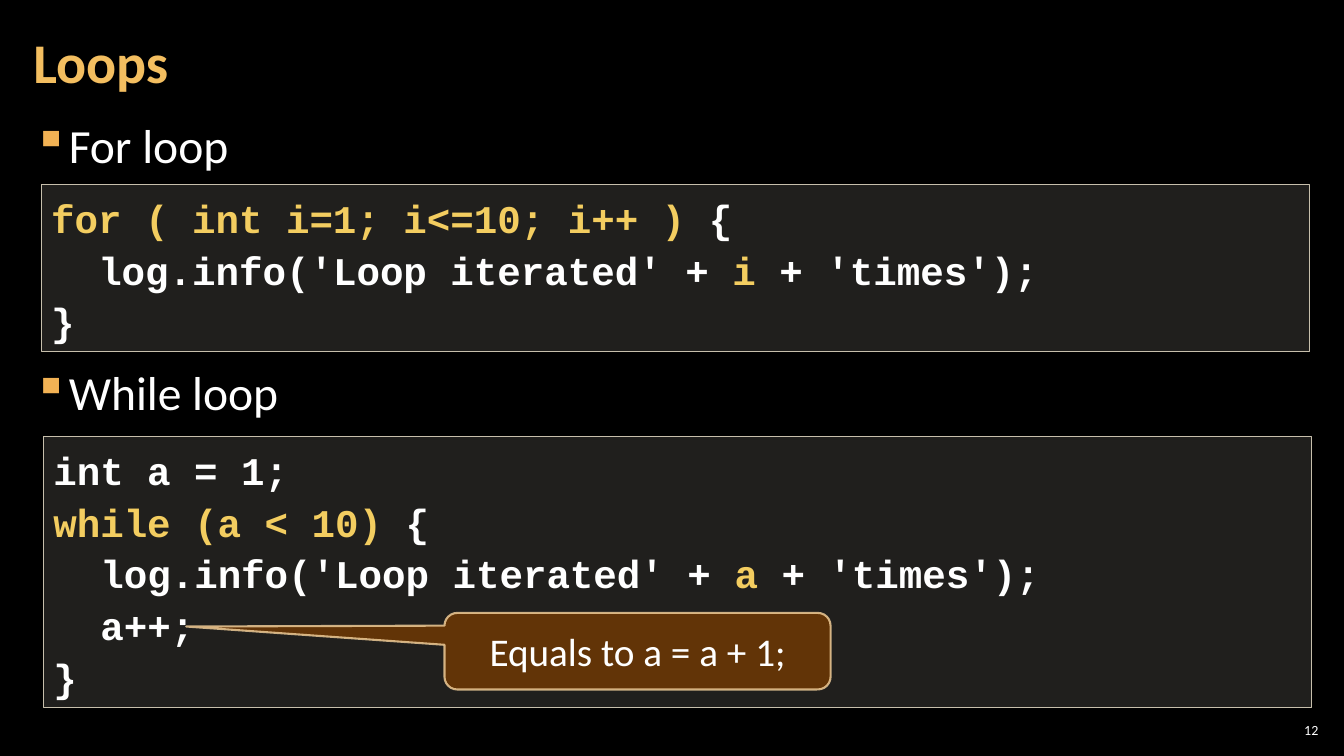
"""Build the slide on for and while loops."""
import pptx
import pptx.dml.color
import pptx.enum.shapes
import pptx.enum.text
import pptx.oxml
import pptx.oxml.ns
import pptx.util

Pt = pptx.util.Pt
ALIGN = pptx.enum.text.PP_ALIGN
ANCHOR = pptx.enum.text.MSO_ANCHOR
SHAPES = pptx.enum.shapes.MSO_SHAPE

COLORS = {
    "background": "000000", "text": "FFFFFF", "title": "F3BE60",
    "bullet": "F2B254", "keyword": "F3CD60", "code fill": "D9D5C7",
    "code line": "C7BFAC", "callout fill": "663606", "callout line": "F8D49E",
}

TITLE = "Loops"
TOPICS = [("For loop", 6), ("While loop", 127.5)]
LOG_START, LOG_END = "log.info('Loop iterated' + ", " + 'times');"
CODE_BLOCKS = [
    ((29.5, 131.8, 905.8, 119.5), [
        (0, [("for ( int i=1; i<=10; i++ ) ", "keyword"), ("{", "text")]),
        (2, [(LOG_START, "text"), ("i", "keyword"), (LOG_END, "text")]),
        (0, [("}", "text")]),
    ]),
    ((31, 311.8, 905.8, 193.7), [
        (0, [("int a = 1;", "text")]),
        (0, [("while (a < 10) ", "keyword"), ("{", "text")]),
        (2, [(LOG_START, "text"), ("a", "keyword"), (LOG_END, "text")]),
        (2, [("a++;", "text")]),
        (0, [("}", "text")]),
    ]),
]
CALLOUT = "Equals to a = a + 1;"
CALLOUT_TIP = (-1.169, -0.322, 0.167)
PAGE_NUMBER = "12"

CODE_SIZE = 28
CHARACTER_WIDTH = 0.6 * CODE_SIZE
BULLET_INDENT = 24
WIDE_INSETS = (8.64, 2.88, 8.64, 2.88)
SMALL_INSETS = (2.88, 2.88, 2.88, 2.88)


def rgb(color):
    return pptx.dml.color.RGBColor.from_string(COLORS[color])


def apply(target, values):
    for name, value in values.items():
        setattr(target, name, value)


def place(shape, left, top, width, height):
    apply(shape, {"left": Pt(left), "top": Pt(top),
                  "width": Pt(width), "height": Pt(height)})


def set_frame(shape, anchor, insets=(7.2, 3.6, 7.2, 3.6)):
    frame = shape.text_frame
    sides = ("margin_left", "margin_top", "margin_right", "margin_bottom")
    apply(frame, dict(zip(sides, map(Pt, insets))))
    apply(frame, {"word_wrap": True, "vertical_anchor": anchor,
                  "auto_size": pptx.enum.text.MSO_AUTO_SIZE.NONE})
    return frame


def add_run(paragraph, text, size, color="text", font="Calibri", bold=False):
    run = paragraph.add_run()
    run.text = text
    apply(run.font, {"size": Pt(size), "name": font, "bold": bold})
    run.font.color.rgb = rgb(color)


def next_paragraph(frame, index, values):
    paragraph = frame.add_paragraph() if index else frame.paragraphs[0]
    apply(paragraph, values)
    return paragraph


def set_alpha(color_fill, percent):
    color = next(color_fill.iter(pptx.oxml.ns.qn("a:srgbClr")))
    color.append(pptx.oxml.parse_xml(
        f'<a:alpha {pptx.oxml.ns.nsdecls("a")} val="{percent * 1000}"/>'))


def add_panel(slide, kind, box, name, fill_alpha, line_width):
    panel = slide.shapes.add_shape(kind, *map(Pt, box))
    panel.shadow.inherit = False
    panel.fill.solid()
    panel.fill.fore_color.rgb = rgb(f"{name} fill")
    panel.line.color.rgb = rgb(f"{name} line")
    panel.line.width = Pt(line_width)
    set_alpha(panel.fill._xPr.find(pptx.oxml.ns.qn("a:solidFill")), fill_alpha)
    return panel


def add_title(slide):
    title = slide.shapes.title
    place(title, 15.1, 2.9, 753.8, 87.1)
    frame = set_frame(title, ANCHOR.MIDDLE, WIDE_INSETS)
    heading = next_paragraph(frame, 0, {"alignment": ALIGN.LEFT, "line_spacing": 0.9})
    add_run(heading, TITLE, 40, "title", bold=True)


def add_topics(slide):
    topics = slide.shapes.add_textbox(*map(Pt, (15.1, 77.8, 929.5, 438.5)))
    frame = set_frame(topics, ANCHOR.TOP, WIDE_INSETS)
    for index, (text, gap) in enumerate(TOPICS):
        topic = next_paragraph(frame, index, {
            "line_spacing": 1.05, "space_before": Pt(gap), "space_after": Pt(6)})
        add_run(topic, text, 34)
        properties = topic._p.get_or_add_pPr()
        properties.set("marL", str(Pt(BULLET_INDENT)))
        properties.set("indent", str(-Pt(BULLET_INDENT)))
        namespace = pptx.oxml.ns.nsdecls("a")
        for bullet in (
            f'<a:buClr {namespace}><a:srgbClr val="{COLORS["bullet"]}"/></a:buClr>',
            f'<a:buChar {namespace} char="▪"/>',
        ):
            properties.append(pptx.oxml.parse_xml(bullet))


def add_code(slide, box, lines):
    code = add_panel(slide, SHAPES.RECTANGLE, box, "code", 15, 1)
    frame = set_frame(code, ANCHOR.TOP)
    for index, (indent, parts) in enumerate(lines):
        line = next_paragraph(frame, index, {
            "alignment": ALIGN.LEFT, "line_spacing": 1.1})
        line._p.get_or_add_pPr().set("marL", str(Pt(indent * CHARACTER_WIDTH)))
        for text, color in parts:
            add_run(line, text, CODE_SIZE, color, "Courier New", True)


def add_callout(slide):
    callout = add_panel(slide, SHAPES.ROUNDED_RECTANGULAR_CALLOUT,
                        (317.5, 437.8, 275.8, 54.7), "callout", 95, 1.5)
    for index, value in enumerate(CALLOUT_TIP):
        callout.adjustments[index] = value
    set_alpha(callout.line._ln, 80)
    frame = set_frame(callout, ANCHOR.MIDDLE)
    add_run(next_paragraph(frame, 0, {"alignment": ALIGN.CENTER}), CALLOUT, 28)


def add_page_number(slide):
    number = slide.shapes.add_textbox(*map(Pt, (910.8, 514.1, 33.8, 15.1)))
    frame = set_frame(number, ANCHOR.MIDDLE, SMALL_INSETS)
    add_run(next_paragraph(frame, 0, {"alignment": ALIGN.RIGHT}), PAGE_NUMBER, 10)


def main():
    deck = pptx.Presentation()
    apply(deck, {"slide_width": Pt(960), "slide_height": Pt(540)})
    slide = deck.slides.add_slide(deck.slide_layouts[5])
    slide.background.fill.solid()
    slide.background.fill.fore_color.rgb = rgb("background")
    add_page_number(slide)
    add_topics(slide)
    add_title(slide)
    for box, lines in CODE_BLOCKS:
        add_code(slide, box, lines)
    add_callout(slide)
    deck.save("out.pptx")


if __name__ == "__main__":
    main()
